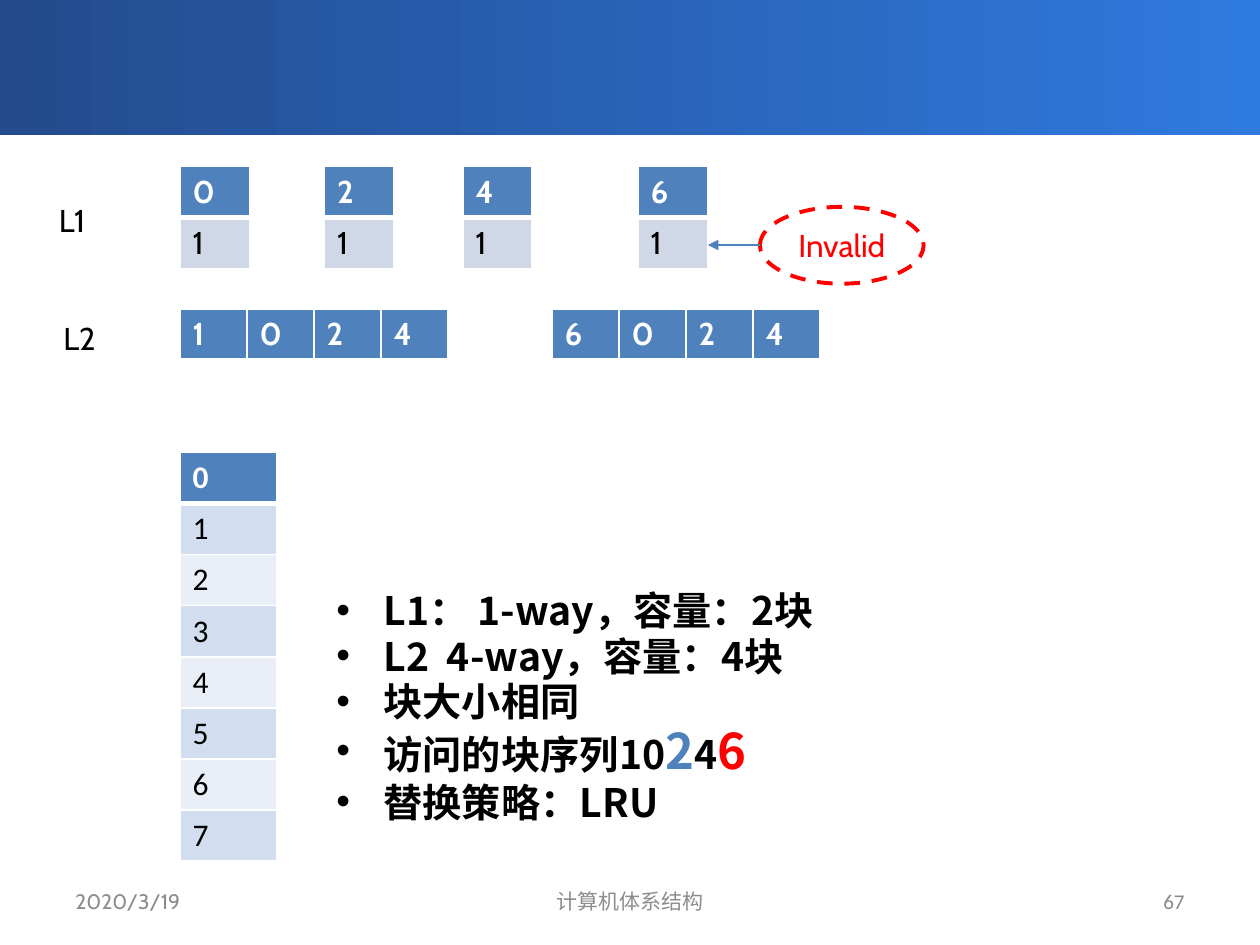
from lxml import etree
from pptx import Presentation
from pptx.dml.color import RGBColor
from pptx.enum.dml import MSO_LINE
from pptx.enum.shapes import MSO_CONNECTOR, MSO_SHAPE
from pptx.enum.text import MSO_ANCHOR, MSO_AUTO_SIZE, PP_ALIGN
from pptx.oxml.ns import qn
from pptx.util import Cm, Pt

DASH = MSO_LINE.DASH
STRAIGHT = MSO_CONNECTOR.STRAIGHT
RECTANGLE, OVAL = MSO_SHAPE.RECTANGLE, MSO_SHAPE.OVAL
MIDDLE = MSO_ANCHOR.MIDDLE
FIT_SHAPE = MSO_AUTO_SIZE.SHAPE_TO_FIT_TEXT
LEFT, CENTER, RIGHT = PP_ALIGN.LEFT, PP_ALIGN.CENTER, PP_ALIGN.RIGHT

BLACK, WHITE, RED, BLUE, GREY = "000000", "FFFFFF", "FF0000", "4F81BD", "8C8C8C"
CABIN, CALIBRI, NOTO = "Cabin", "Calibri", "Noto Sans CJK SC"
ROW_HEIGHT = 1.03
CACHE_LEFT = 3.63


def color(hex_string):
    return RGBColor.from_string(hex_string)


def format_run(run, size, font_name, hex_string, bold=False):
    font = run.font
    font.size, font.name, font.bold = Pt(size), font_name, bold
    font.color.rgb = color(hex_string)


def add_band(slide, top):
    band = slide.shapes.add_shape(RECTANGLE, 0, Cm(top), Cm(25.4), Cm(2.72))
    band.shadow.inherit = False
    band.line.fill.background()
    band.fill.gradient()
    band.fill.gradient_angle = 0
    for stop, hex_string, position in zip(
        band.fill.gradient_stops, ("234B8D", "2F7ADF"), (0, 1)
    ):
        stop.color.rgb = color(hex_string)
        stop.position = position


def add_label(slide, text, left, top, width):
    box = slide.shapes.add_textbox(Cm(left), Cm(top), Cm(width), Cm(1.02))
    box.text_frame.text = text
    box.text_frame.word_wrap = False
    box.text_frame.auto_size = FIT_SHAPE
    format_run(box.text_frame.paragraphs[0].runs[0], 18, CABIN, BLACK)


def add_footer(slide, text, left, width, alignment, font_name, hex_string):
    box = slide.shapes.add_textbox(Cm(left), Cm(17.65), Cm(width), Cm(1.02))
    frame = box.text_frame
    frame.text = text
    frame.word_wrap = True
    frame.vertical_anchor = MIDDLE
    frame.paragraphs[0].alignment = alignment
    format_run(frame.paragraphs[0].runs[0], 12, font_name, hex_string)


def set_borders(cell, top, bottom):
    """Draw white cell borders, with the top and bottom widths in points."""
    properties = cell._tc.get_or_add_tcPr()
    for side, width in (("L", 1), ("R", 1), ("T", top), ("B", bottom)):
        line = etree.SubElement(properties, qn(f"a:ln{side}"), w=str(Pt(width)))
        fill = etree.SubElement(line, qn("a:solidFill"))
        etree.SubElement(fill, qn("a:srgbClr"), val=WHITE)


def add_blocks(slide, rows, left, top, column_width, font_name, body_fills):
    """Add a table whose first row is a header and whose other fills alternate."""
    column_count = len(rows[0])
    table = slide.shapes.add_table(
        len(rows), column_count, Cm(left), Cm(top),
        Cm(column_width * column_count), Cm(ROW_HEIGHT * len(rows)),
    ).table
    for column in table.columns:
        column.width = Cm(column_width)
    for row_index, values in enumerate(rows):
        table.rows[row_index].height = Cm(ROW_HEIGHT)
        header = row_index == 0
        fill = BLUE if header else body_fills[(row_index - 1) % len(body_fills)]
        for column_index, value in enumerate(values):
            cell = table.cell(row_index, column_index)
            cell.text = value
            set_borders(cell, 3 if row_index == 1 else 1, 3 if header else 1)
            cell.fill.solid()
            cell.fill.fore_color.rgb = color(fill)
            format_run(cell.text_frame.paragraphs[0].runs[0], 18, font_name,
                       WHITE if header else BLACK, header)


def add_bullets(slide, items):
    box = slide.shapes.add_textbox(Cm(6.53), Cm(11.73), Cm(17.55), Cm(5.13))
    frame = box.text_frame
    frame.word_wrap = True
    frame.margin_top = Cm(0.28)
    for index, runs in enumerate(items):
        paragraph = frame.paragraphs[0] if index == 0 else frame.add_paragraph()
        properties = paragraph._p.get_or_add_pPr()
        properties.set("marL", str(Cm(0.95)))
        properties.set("indent", str(Cm(-0.95)))
        etree.SubElement(properties, qn("a:buFont"), typeface="Arial")
        etree.SubElement(properties, qn("a:buChar"), char="•")
        paragraph.line_spacing = 0.8
        if index:
            paragraph.space_before = Pt(4.5)
        for text, size, hex_string in runs:
            run = paragraph.add_run()
            run.text = text
            format_run(run, size, NOTO, hex_string, True)
            etree.SubElement(run._r.get_or_add_rPr(), qn("a:ea"), typeface=NOTO)


def add_invalid_mark(slide):
    oval = slide.shapes.add_shape(OVAL, Cm(15.32), Cm(4.17), Cm(3.3), Cm(1.55))
    oval.shadow.inherit = False
    oval.fill.background()
    oval.line.color.rgb = color(RED)
    oval.line.width = Pt(2.25)
    oval.line.dash_style = DASH
    frame = oval.text_frame
    frame.text = "Invalid"
    frame.vertical_anchor = MIDDLE
    frame.paragraphs[0].alignment = CENTER
    format_run(frame.paragraphs[0].runs[0], 18, CABIN, RED)


def add_arrow(slide, start, end, y):
    arrow = slide.shapes.add_connector(STRAIGHT, Cm(start), Cm(y), Cm(end), Cm(y))
    arrow.line.color.rgb = color(BLUE)
    arrow.line.width = Pt(1)
    etree.SubElement(arrow.line._get_or_add_ln(), qn("a:tailEnd"), type="triangle")
    etree.SubElement(arrow._element.spPr, qn("a:effectLst"))


def main():
    presentation = Presentation()
    presentation.slide_width, presentation.slide_height = Cm(25.4), Cm(19.05)
    slide = presentation.slides.add_slide(presentation.slide_layouts[6])

    for top in (-0.08, 0):
        add_band(slide, top)

    add_bullets(slide, [
        [("L1： 1-way，容量：2块", 22.4, BLACK)],
        [("L2  4-way，容量：4块", 22.4, BLACK)],
        [("块大小相同", 22.4, BLACK)],
        [("访问的块序列10", 22.4, BLACK), ("2", 28, BLUE),
         ("4", 22.4, BLACK), ("6", 28, RED)],
        [("替换策略：LRU", 22.4, BLACK)],
    ])

    add_footer(slide, "2020/3/19", 1.27, 5.93, LEFT, CABIN, GREY)
    add_footer(slide, "计算机体系结构", 8.68, 8.04, CENTER, CABIN, GREY)
    add_footer(slide, "67", 18.2, 5.93, RIGHT, CALIBRI, "898989")

    memory_rows = [str(number) for number in range(8)]
    add_blocks(slide, memory_rows, CACHE_LEFT, 9.12, 1.94, CALIBRI,
               ("D2DEEF", "EAEFF7"))
    for block, left in (("0", CACHE_LEFT), ("2", 6.54), ("4", 9.33), ("6", 12.86)):
        add_blocks(slide, (block, "1"), left, 3.36, 1.4, CABIN, ("D0D8E8",))
    for blocks, left in (("1024", CACHE_LEFT), ("6024", 11.13)):
        add_blocks(slide, (blocks,), left, 6.23, 1.35, CABIN, ())

    add_invalid_mark(slide)
    add_arrow(slide, 15.32, 14.27, 4.94)
    add_label(slide, "L1", 0.94, 3.92, 1.4)
    add_label(slide, "L2", 1.03, 6.3, 1.22)

    presentation.save("out.pptx")


if __name__ == "__main__":
    main()
